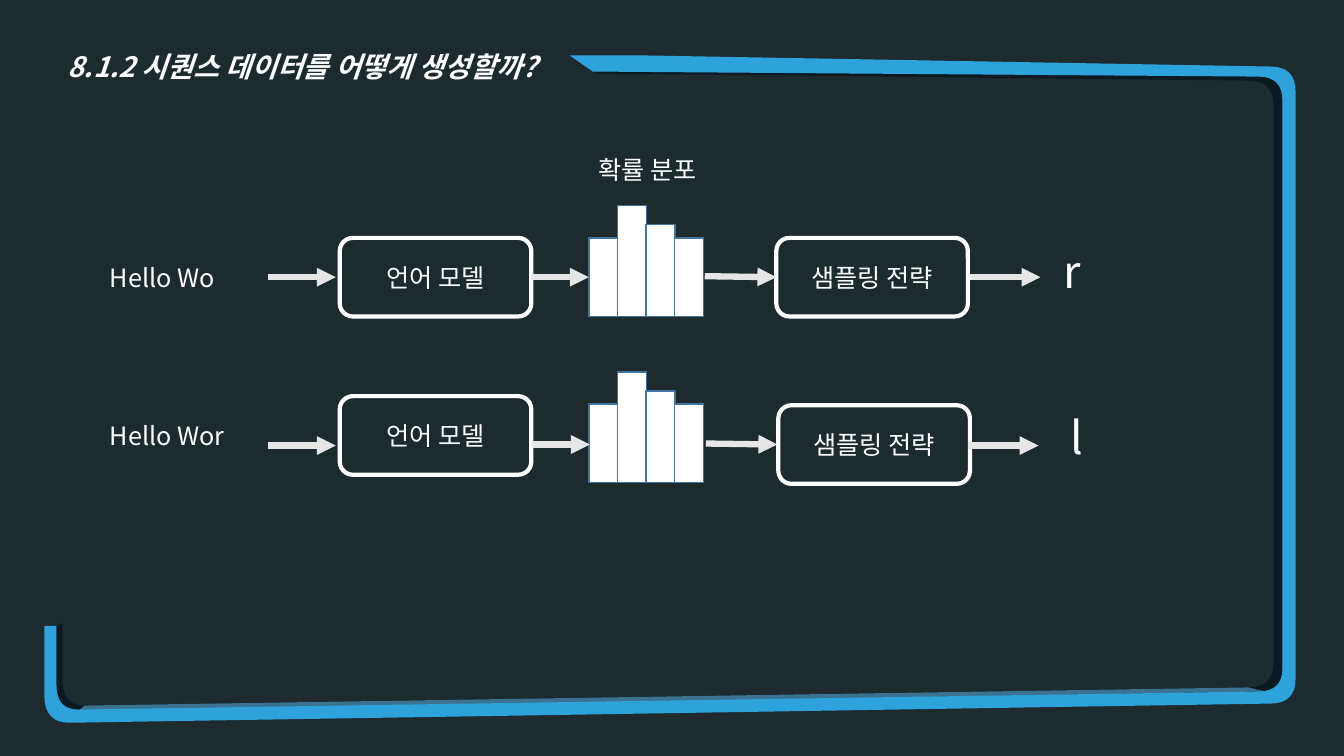
import pptx
import pptx.util
import pptx.dml.color
import pptx.enum.shapes
import pptx.enum.text
import pptx.oxml.ns
import lxml.etree

# Content
TITLE = "8.1.2 시퀀스 데이터를 어떻게 생성할까?"
BARS_LABEL = "확률 분포"
MODEL, STRATEGY = "언어 모델", "샘플링 전략"
# Per row: texts, tops of both boxes, bars' base, left edges, and arrows (x, y, x, y)
ROWS = [
    dict(prompt="Hello Wo", letter="r", model_top=2.36, strategy=(7.7, 2.36),
         base=3.14, letter_at=(10.45, 2.37),
         arrows=[(2.66, 2.75, 3.33, 2.75), (5.27, 2.75, 5.84, 2.75),
                 (6.99, 2.74, 7.7, 2.75), (9.62, 2.75, 10.32, 2.75)]),
    dict(prompt="Hello Wor", letter="l", model_top=3.93, strategy=(7.72, 4.02),
         base=4.79, letter_at=(10.52, 4.02),
         arrows=[(2.66, 4.42, 3.33, 4.42), (5.28, 4.41, 5.85, 4.41),
                 (7, 4.4, 7.71, 4.41), (9.6, 4.42, 10.3, 4.42)]),
]
BAR_HEIGHTS = [0.78, 1.1, 0.91, 0.78]
BARS_LEFT, BAR_STEP, BAR_WIDTH = 5.84, 0.283, 0.29
MODEL_LEFT, BOX_WIDTH, BOX_HEIGHT = 3.37, 1.9, 0.78
PROMPT_LEFT, PROMPT_DROP = 0.99, 0.19

# Frame edges: a pair is a point, a triple is a rounded corner (start, control, end)
OUTER_EDGE = [(5.65, 0.55), (6.4, 0.55),
              ((12.6, 0.66), (12.85, 0.66), (12.85, 0.91)),
              ((12.85, 6.73), (12.85, 6.98), (12.6, 6.98)),
              ((0.69, 7.17), (0.44, 7.17), (0.44, 6.9)), (0.44, 6.21)]
INNER_EDGE = [(0.56, 6.21), ((0.56, 6.8), (0.56, 7.04), (0.78, 7.04)),
              ((12.48, 6.86), (12.72, 6.86), (12.72, 6.63)),
              ((12.72, 1.0), (12.72, 0.76), (12.48, 0.76)), (5.88, 0.71)]
DEPTH_EDGE = [(0.62, 6.18), ((0.62, 6.75), (0.62, 7.0), (0.84, 7.0)),
              ((12.38, 6.82), (12.63, 6.82), (12.63, 6.58)),
              ((12.63, 1.04), (12.63, 0.8), (12.38, 0.8)), (5.92, 0.73)]
BOTTOM_SIDE = [(0.78, 7.05), (0.84, 7.0), (12.38, 6.82), (12.55, 6.86)]

FONT = "Noto Sans CJK KR"
BACKGROUND = pptx.dml.color.RGBColor(0x1D, 0x2B, 0x2E)
BLUE = pptx.dml.color.RGBColor(0x2D, 0xA2, 0xDB)
DEPTH = pptx.dml.color.RGBColor(0x0B, 0x1A, 0x22)
STEEL = pptx.dml.color.RGBColor(0x3A, 0x72, 0x90)
WHITE = pptx.dml.color.RGBColor(0xFF, 0xFF, 0xFF)
ARROW = pptx.dml.color.RGBColor(0xE7, 0xE6, 0xE6)
BAR_LINE = pptx.dml.color.RGBColor(0x43, 0x73, 0x9E)
SHAPE = pptx.enum.shapes.MSO_SHAPE
ALIGN = pptx.enum.text.PP_ALIGN
inch = pptx.util.Inches


def write(shape, text, size=18, align=ALIGN.LEFT, bold=None, italic=None, spacing=None):
    para = shape.text_frame.paragraphs[0]
    para.alignment = align
    para.line_spacing = spacing
    span = para.add_run()
    span.text = text
    span.font.size = pptx.util.Pt(size)
    span.font.name = FONT
    span.font.bold, span.font.italic = bold, italic
    span.font.color.rgb = WHITE
    east_asian = lxml.etree.SubElement(span.font._element, pptx.oxml.ns.qn("a:ea"))
    east_asian.set("typeface", FONT)


def add_text(page, left, top, width, height, text, **style):
    box = page.shapes.add_textbox(inch(left), inch(top), inch(width), inch(height))
    box.text_frame.word_wrap = True
    box.text_frame.auto_size = pptx.enum.text.MSO_AUTO_SIZE.SHAPE_TO_FIT_TEXT
    write(box, text, **style)


def add_block(shapes, kind, left, top, width, height, line, line_width, fill=None):
    block = shapes.add_shape(kind, inch(left), inch(top), inch(width), inch(height))
    block.shadow.inherit = False
    if fill is None:
        block.fill.background()
    else:
        block.fill.solid()
        block.fill.fore_color.rgb = fill
    block.line.color.rgb = line
    block.line.width = pptx.util.Pt(line_width)
    return block


def add_box(page, left, top, text):
    box = add_block(page.shapes, SHAPE.ROUNDED_RECTANGLE, left, top,
                    BOX_WIDTH, BOX_HEIGHT, WHITE, 3)
    box.text_frame.vertical_anchor = pptx.enum.text.MSO_ANCHOR.MIDDLE
    write(box, text, align=ALIGN.CENTER)


def add_arrow(page, x1, y1, x2, y2):
    arrow = page.shapes.add_connector(pptx.enum.shapes.MSO_CONNECTOR.STRAIGHT,
                                      inch(x1), inch(y1), inch(x2), inch(y2))
    arrow.line.color.rgb = ARROW
    arrow.line.width = pptx.util.Pt(4.5)
    head = lxml.etree.SubElement(arrow.line._get_or_add_ln(), pptx.oxml.ns.qn("a:tailEnd"))
    head.set("type", "triangle")
    lxml.etree.SubElement(arrow._element.spPr, pptx.oxml.ns.qn("a:effectLst"))


def trace(edge, steps=8):
    """Turn points and rounded corners into plain points."""
    points = []
    for part in edge:
        if len(part) == 2:
            points.append(part)
            continue
        for step in range(steps + 1):
            t = step / steps
            points.append(tuple((1 - t) ** 2 * a + 2 * t * (1 - t) * b + t * t * c
                                for a, b, c in zip(*part)))
    return points


def add_outline(page, points, fill):
    # Freeform points are whole numbers, so they are given in EMU
    corners = [(inch(x), inch(y)) for x, y in points]
    builder = page.shapes.build_freeform(*corners[0])
    builder.add_line_segments(corners[1:], close=True)
    outline = builder.convert_to_shape()
    outline.shadow.inherit = False
    outline.fill.solid()
    outline.fill.fore_color.rgb = fill
    outline.line.fill.background()


def main():
    deck = pptx.Presentation()
    deck.slide_width, deck.slide_height = inch(13.33), inch(7.5)
    page = deck.slides.add_slide(deck.slide_layouts[6])
    page.background.fill.solid()
    page.background.fill.fore_color.rgb = BACKGROUND

    # Frame with its inner sides
    inner = trace(INNER_EDGE)
    add_outline(page, inner + trace(DEPTH_EDGE)[::-1], DEPTH)
    add_outline(page, BOTTOM_SIDE, STEEL)
    add_outline(page, trace(OUTER_EDGE) + inner, BLUE)

    # Headings
    add_text(page, 0.35, 0.28, 5.29, 0.61, TITLE, size=20, align=ALIGN.CENTER,
             bold=True, italic=True, spacing=1.5)
    add_text(page, 5.84, 1.48, 1.42, 0.4, BARS_LABEL)

    # One generation step per row
    for row in ROWS:
        add_text(page, PROMPT_LEFT, row["model_top"] + PROMPT_DROP, 2, 0.4, row["prompt"])
        add_box(page, MODEL_LEFT, row["model_top"], MODEL)
        add_box(page, *row["strategy"], STRATEGY)
        bars = page.shapes.add_group_shape()
        for index, height in enumerate(BAR_HEIGHTS):
            add_block(bars.shapes, SHAPE.RECTANGLE, BARS_LEFT + index * BAR_STEP,
                      row["base"] - height, BAR_WIDTH, height, BAR_LINE, 1, fill=WHITE)
        for ends in row["arrows"]:
            add_arrow(page, *ends)
        add_text(page, *row["letter_at"], 0.82, 0.64, row["letter"], size=32)

    deck.save("out.pptx")


if __name__ == "__main__":
    main()
